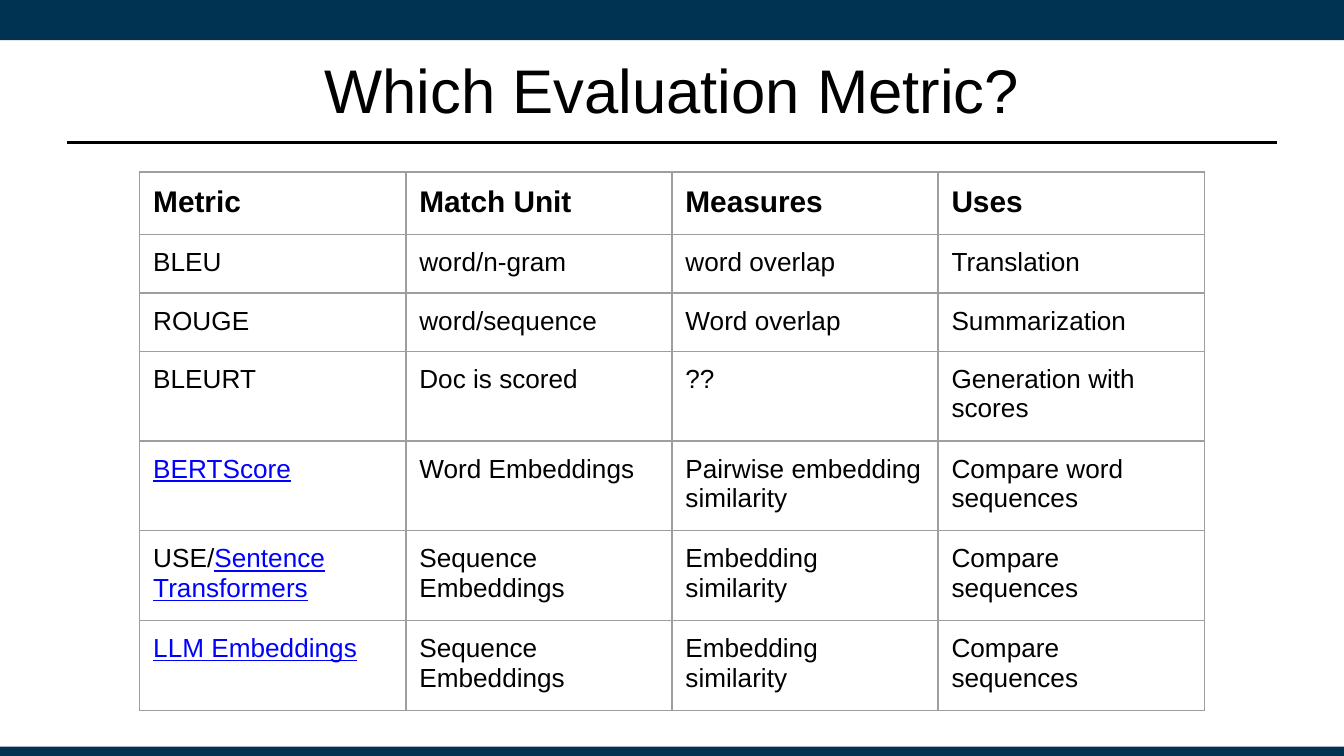
from dataclasses import dataclass

import pptx
import pptx.dml.color
import pptx.enum.shapes
import pptx.enum.text
import pptx.oxml
import pptx.oxml.ns
import pptx.util
from pptx.util import Inches


@dataclass(frozen=True)
class Theme:
    font: str = "Arial"
    band: str = "003252"
    ink: str = "000000"
    link: str = "0000FF"
    grid: str = "9E9E9E"
    title_size: int = 33
    header_size: int = 16
    body_size: int = 14
    rule_width: float = 1.25
    grid_width: float = 0.75


@dataclass(frozen=True)
class Box:
    left: float
    top: float
    width: float
    height: float

    def lengths(self):
        return [Inches(value) for value in (self.left, self.top, self.width, self.height)]


THEME = Theme()
SLIDE = Box(0, 0, 10, 10 * 9 / 16)
ROWS = [
    ["Metric", "Match Unit", "Measures", "Uses"],
    ["BLEU", "word/n-gram", "word overlap", "Translation"],
    ["ROUGE", "word/sequence", "Word overlap", "Summarization"],
    ["BLEURT", "Doc is scored", "??", "Generation with scores"],
    ["BERTScore", "Word Embeddings", "Pairwise embedding similarity", "Compare word sequences"],
    ["USE/Sentence Transformers", "Sequence Embeddings", "Embedding similarity", "Compare sequences"],
    ["LLM Embeddings", "Sequence Embeddings", "Embedding similarity", "Compare sequences"],
]
LINKED = ["BERTScore", "Sentence Transformers", "LLM Embeddings"]


def color(value):
    return pptx.dml.color.RGBColor.from_string(value)


def style_font(font, size, bold=False):
    font.name = THEME.font
    font.size = pptx.util.Pt(size)
    font.bold = bold
    font.color.rgb = color(THEME.ink)


def add_band(page, box):
    band = page.shapes.add_shape(pptx.enum.shapes.MSO_SHAPE.RECTANGLE, *box.lengths())
    band.shadow.inherit = False
    band.fill.solid()
    band.fill.fore_color.rgb = color(THEME.band)
    band.line.fill.background()


def add_frame(page, box):
    bottom_height = 0.07
    add_band(page, Box(box.left, box.top, box.width, 0.3))
    add_band(page, Box(box.left, box.top + box.height - bottom_height, box.width, bottom_height))


def add_title(page, box, text):
    title = page.shapes.add_textbox(*box.lengths())
    frame = title.text_frame
    frame.word_wrap = True
    frame.vertical_anchor = pptx.enum.text.MSO_ANCHOR.MIDDLE
    frame.margin_left = frame.margin_right = Inches(0.07)
    frame.margin_top = frame.margin_bottom = Inches(0.04)
    para = frame.paragraphs[0]
    para.text = text
    para.alignment = pptx.enum.text.PP_ALIGN.CENTER
    style_font(para.font, THEME.title_size)

    rule_top = Inches(box.top + 0.87)
    rule = page.shapes.add_connector(
        pptx.enum.shapes.MSO_CONNECTOR.STRAIGHT,
        Inches(box.left), rule_top, Inches(box.left + box.width), rule_top,
    )
    rule.line.color.rgb = color(THEME.ink)
    rule.line.width = pptx.util.Pt(THEME.rule_width)
    properties = rule._element.spPr
    properties.append(pptx.oxml.parse_xml(f'<a:effectLst {pptx.oxml.ns.nsdecls("a")}/>'))


def add_borders(cell):
    properties = cell._tc.get_or_add_tcPr()
    width = pptx.util.Pt(THEME.grid_width)
    for side in "LRTB":
        properties.append(pptx.oxml.parse_xml(
            f'<a:ln{side} {pptx.oxml.ns.nsdecls("a")} w="{width}">'
            f'<a:solidFill><a:srgbClr val="{THEME.grid}"/></a:solidFill></a:ln{side}>'
        ))


def fill_cell(cell, text, is_header):
    cell.margin_left = cell.margin_right = Inches(0.1)
    cell.margin_top = cell.margin_bottom = Inches(0.1)
    add_borders(cell)
    cell.fill.background()
    para = cell.text_frame.paragraphs[0]
    style_font(para.font, THEME.header_size if is_header else THEME.body_size, is_header)
    linked = next((label for label in LINKED if text.endswith(label)), "")
    plain = text.removesuffix(linked)
    if plain:
        para.add_run().text = plain
    if linked:
        span = para.add_run()
        span.text = linked
        span.font.underline = True
        span.font.color.rgb = color(THEME.link)


def add_metric_table(page, box, rows, column_width, row_height):
    holder = page.shapes.add_table(len(rows), len(rows[0]), *box.lengths())
    table = holder.table
    table.first_row = False
    table.horz_banding = False
    for column in table.columns:
        column.width = Inches(column_width)
    for row_index, texts in enumerate(rows):
        table.rows[row_index].height = Inches(row_height)
        for column_index, text in enumerate(texts):
            fill_cell(table.cell(row_index, column_index), text, row_index == 0)
    holder.width = Inches(box.width)
    holder.height = Inches(box.height)


def main():
    deck = pptx.Presentation()
    deck.slide_width = Inches(SLIDE.width)
    deck.slide_height = Inches(SLIDE.height)
    page = deck.slides.add_slide(deck.slide_layouts[6])
    add_frame(page, SLIDE)
    add_title(page, Box(0.5, 0.19, 9, 0.94), "Which Evaluation Metric?")
    add_metric_table(page, Box(1.04, 1.28, 3.28, 3.28), ROWS, column_width=1.98, row_height=0.42)
    deck.save("out.pptx")


if __name__ == "__main__":
    main()
